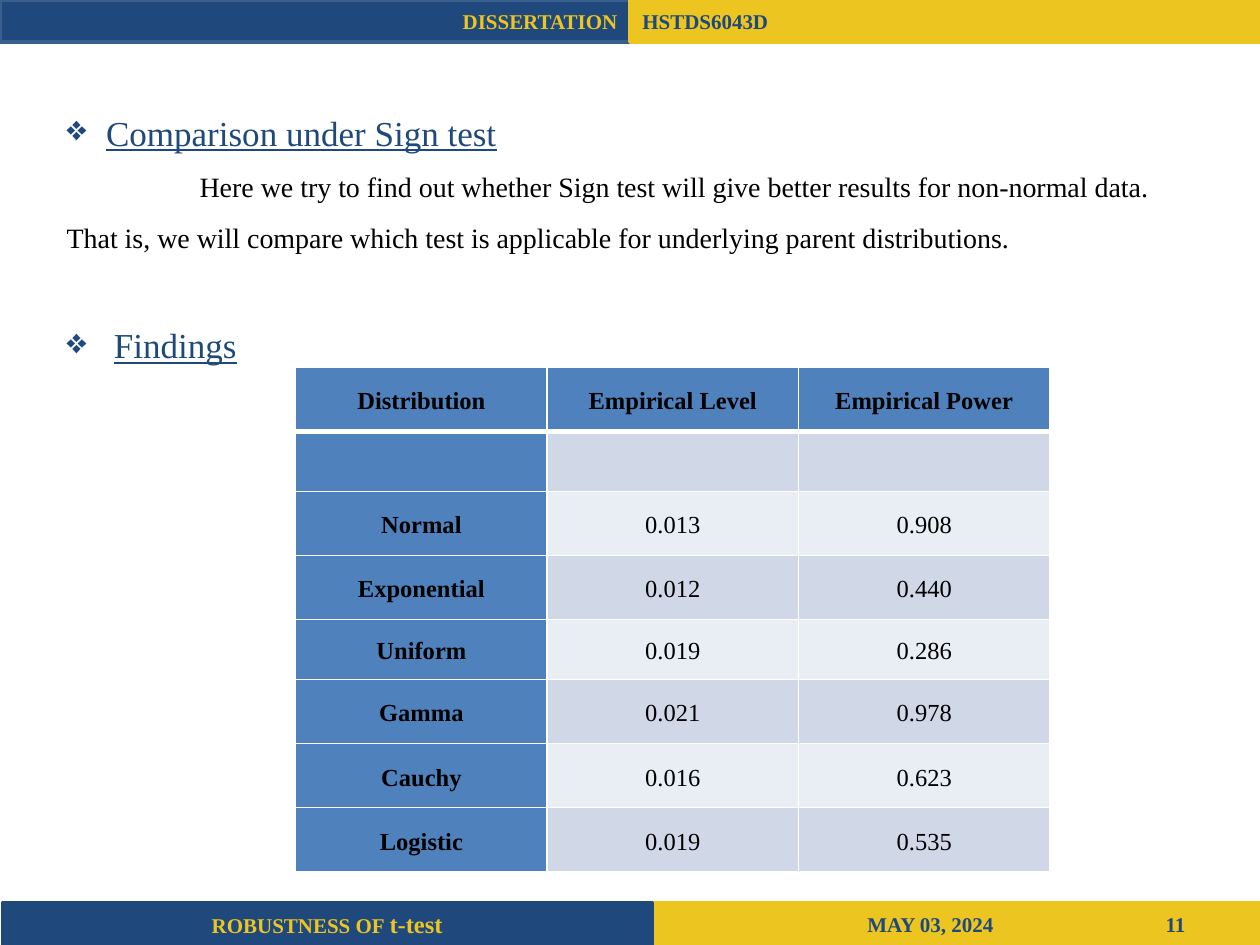
from lxml import etree
from pptx import Presentation
from pptx.dml.color import RGBColor
from pptx.enum.shapes import MSO_SHAPE
from pptx.enum.text import MSO_ANCHOR, PP_ALIGN
from pptx.oxml.ns import qn
from pptx.util import Pt

RECT = MSO_SHAPE.RECTANGLE
MIDDLE = MSO_ANCHOR.MIDDLE
LEFT, CENTER, RIGHT = PP_ALIGN.LEFT, PP_ALIGN.CENTER, PP_ALIGN.RIGHT
FACE = "Times New Roman"
COLORS = {
    "navy": "1F497D", "edge": "3A5F8C", "gold": "ECC520", "black": "000000",
    "white": "FFFFFF", "head": "4F81BD", "dark": "D0D8E8", "light": "E9EDF4",
}
ROWS = [
    ("Distribution", "Empirical Level", "Empirical Power"),
    ("", "", ""),
    ("Normal", "0.013", "0.908"),
    ("Exponential", "0.012", "0.440"),
    ("Uniform", "0.019", "0.286"),
    ("Gamma", "0.021", "0.978"),
    ("Cauchy", "0.016", "0.623"),
    ("Logistic", "0.019", "0.535"),
]
SHORT = (1, 4)  # rows a little lower than the rest


def rgb(name):
    return RGBColor.from_string(COLORS[name])


def style(font, size, color, bold=False, under=False):
    font.name, font.size = FACE, Pt(size)
    font.bold, font.underline = bold, under
    font.color.rgb = rgb(color)


def add_bar(slide, box, text, fill, color, align, edge=None):
    bar = slide.shapes.add_shape(RECT, *map(Pt, box))
    bar.shadow.inherit = False
    bar.fill.solid()
    bar.fill.fore_color.rgb = rgb(fill)
    bar.line.color.rgb = rgb(edge or fill)
    bar.line.width = Pt(2)
    bar.text_frame.vertical_anchor = MIDDLE
    para = bar.text_frame.paragraphs[0]
    para.text, para.alignment = text, align
    style(para.font, 12, color, bold=True)
    return para


def add_header(slide, box):
    left, top, width, height = box
    half = width / 2
    add_bar(slide, (left, top, half, height), "DISSERTATION",
            "navy", "gold", RIGHT, "edge")
    add_bar(slide, (left + half, top, half, height), "HSTDS6043D",
            "gold", "navy", LEFT)


def add_footer(slide, box):
    left, top, width, height = box
    # Date and page number sit on two tab stops
    date = add_bar(slide, (left + 361.5, top, width - 361.5, height),
                   "\tMAY 03, 2024\t11", "gold", "navy", LEFT)
    tabs = etree.SubElement(date._p.get_or_add_pPr(), qn("a:tabLst"))
    date._p.pPr.insert(0, tabs)
    for stop in (127, 297.5):
        etree.SubElement(tabs, qn("a:tab"), pos=str(Pt(stop)), algn="l")
    title = add_bar(slide, (left + 1.5, top, 371, height), "ROBUSTNESS OF ",
                    "navy", "gold", CENTER)
    run = title.add_run()
    run.text = "t-test"
    style(run.font, 14, "gold", bold=True)


def set_indent(para, margin, first, bullet=None):
    props = para._p.get_or_add_pPr()
    props.set("marL", str(Pt(margin)))
    props.set("indent", str(Pt(first)))
    if bullet:
        mark = etree.Element(qn("a:buChar"), char=bullet)
        props.insert_element_before(mark, "a:tabLst", "a:defRPr", "a:extLst")


def add_body(slide, box):
    frame = slide.shapes.add_textbox(*map(Pt, box)).text_frame
    frame.word_wrap = True

    head = frame.paragraphs[0]
    head.text = "Comparison under Sign test"
    style(head.font, 20, "navy", under=True)
    set_indent(head, 22.5, -22.5, "❖")

    note = frame.add_paragraph()
    note.text = ("Here we try to find out whether Sign test will give better "
                 "results for non-normal data. That is, we will compare which "
                 "test is applicable for underlying parent distributions.")
    note.line_spacing = 1.5
    style(note.font, 16, "black")
    set_indent(note, 0, 76)

    find = frame.add_paragraph()
    find.text = "Findings"
    find.line_spacing, find.space_before = 1.5, Pt(28)
    style(find.font, 20, "navy", under=True)
    set_indent(find, 27, -27, "❖")


def set_border(cell, row):
    props = cell._tc.get_or_add_tcPr()
    widths = {"L": 1, "R": 1, "T": 3 if row == 1 else 1,
              "B": 3 if row == 0 else 1}
    for side, width in widths.items():
        line = etree.SubElement(props, qn("a:ln" + side), w=str(Pt(width)))
        fill = etree.SubElement(line, qn("a:solidFill"))
        etree.SubElement(fill, qn("a:srgbClr"), val=COLORS["white"])


def add_results(slide, box):
    grid = slide.shapes.add_table(len(ROWS), 3, *map(Pt, box)).table
    grid.first_row = grid.horz_banding = False
    for col in grid.columns:
        col.width = Pt(box[2] / 3)
    for r, words in enumerate(ROWS):
        grid.rows[r].height = Pt(34.3 if r in SHORT else 36.6)
        for c, word in enumerate(words):
            cell = grid.cell(r, c)
            key = r == 0 or c == 0
            set_border(cell, r)
            cell.fill.solid()
            cell.fill.fore_color.rgb = rgb(
                "head" if key else "dark" if r % 2 else "light")
            cell.vertical_anchor = MIDDLE
            cell.margin_left = cell.margin_right = Pt(5)
            cell.margin_top = cell.margin_bottom = 0
            para = cell.text_frame.paragraphs[0]
            para.text, para.alignment = word, CENTER
            para.line_spacing = 1.15
            style(para.font, 14, "black", bold=key)


def main():
    deck = Presentation()
    deck.slide_width, deck.slide_height = Pt(720), Pt(540)
    slide = deck.slides.add_slide(deck.slide_layouts[6])
    add_header(slide, (0, 0, 720, 24))
    add_footer(slide, (0, 516, 720, 24))
    add_body(slide, (31, 60, 648, 211))
    add_results(slide, (169, 210, 431, 288))
    deck.save("out.pptx")


if __name__ == "__main__":
    main()
